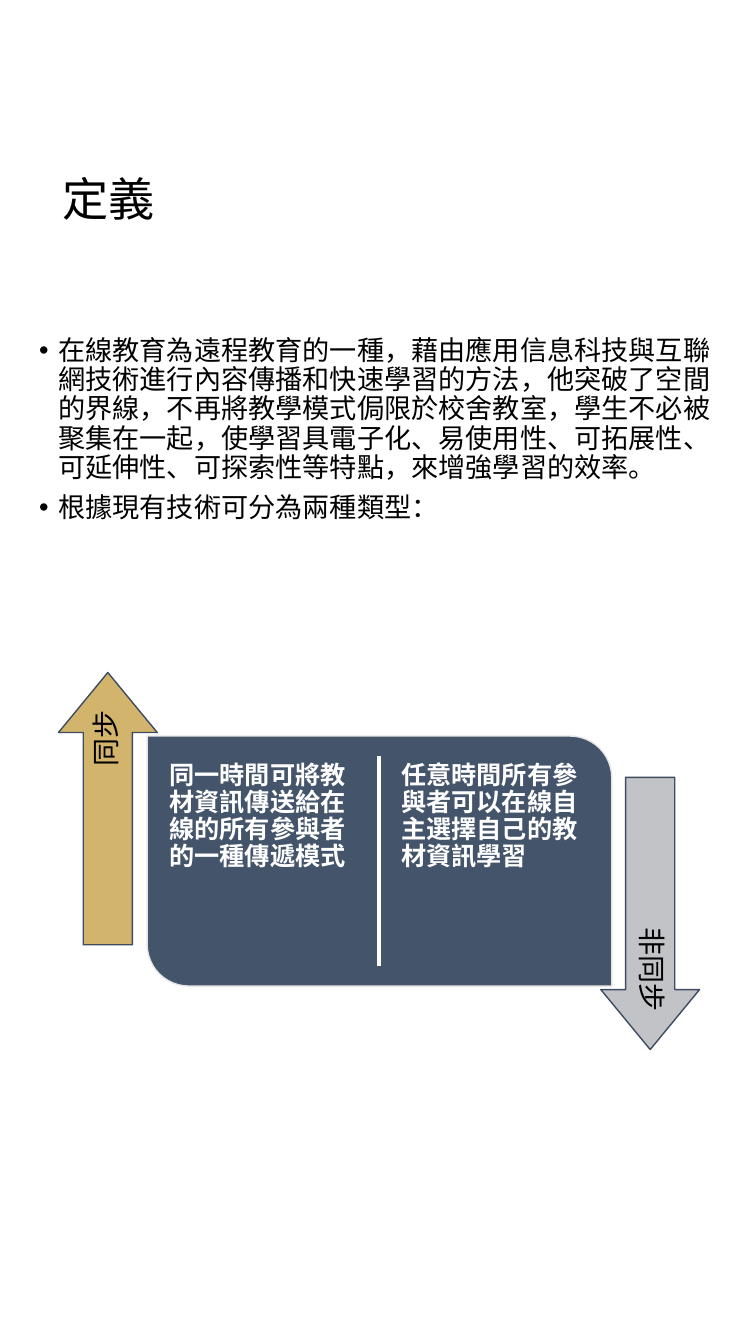
from dataclasses import dataclass

from lxml.etree import SubElement
from pptx import Presentation
from pptx.dml.color import RGBColor
from pptx.enum.shapes import MSO_CONNECTOR, MSO_SHAPE
from pptx.enum.text import MSO_ANCHOR, PP_ALIGN
from pptx.oxml.ns import qn
from pptx.util import Inches, Pt


@dataclass(frozen=True)
class Theme:
    """Colours, type sizes and font of the slide."""
    font: str = "Calibri"
    ink: str = "000000"
    white: str = "FFFFFF"
    panel: str = "44546A"
    panel_edge: str = "E7E6E6"
    arrow_edge: str = "3E4C60"
    gold: str = "D2B46C"
    silver: str = "C1C3C7"
    title_size: float = 33
    body_size: float = 19.4
    mode_size: float = 18
    label_size: float = 20


THEME = Theme()
DEFINITION = [
    "在線教育為遠程教育的一種，藉由應用信息科技與互聯網技術進行內容傳播和快速學習的方法，"
    "他突破了空間的界線，不再將教學模式侷限於校舍教室，學生不必被聚集在一起，使學習具電子化、"
    "易使用性、可拓展性、可延伸性、可探索性等特點，來增強學習的效率。",
    "根據現有技術可分為兩種類型：",
]
MODES = [
    "同一時間可將教材資訊傳送給在線的所有參與者的一種傳遞模式",
    "任意時間所有參與者可以在線自主選擇自己的教材資訊學習",
]


def add_text(slide, box, texts, size, color=THEME.ink, bold=False,
             anchor=MSO_ANCHOR.TOP, align=PP_ALIGN.LEFT, inset=None, before=0):
    """Add a wrapping text box with one paragraph per text."""
    holder = slide.shapes.add_textbox(*map(Inches, box))
    frame = holder.text_frame
    frame.word_wrap = True
    frame.vertical_anchor = anchor
    if inset is not None:
        frame.margin_left = frame.margin_right = Inches(inset)
        frame.margin_top = frame.margin_bottom = Inches(inset)
    for index, text in enumerate(texts):
        paragraph = frame.add_paragraph() if index else frame.paragraphs[0]
        paragraph.alignment = align
        paragraph.line_spacing = 0.9
        paragraph.space_before = Pt(before)
        run = paragraph.add_run()
        run.text = text
        run.font.name = THEME.font
        run.font.size = Pt(size)
        run.font.bold = bold
        run.font.color.rgb = RGBColor.from_string(color)
    return holder


def add_bullets(holder, indent):
    """Give every paragraph of a text box a hanging bullet."""
    for paragraph in holder.text_frame.paragraphs:
        properties = paragraph._p.get_or_add_pPr()
        properties.set("marL", str(Inches(indent)))
        properties.set("indent", str(-Inches(indent)))
        SubElement(properties, qn("a:buFont")).set("typeface", "Arial")
        SubElement(properties, qn("a:buChar")).set("char", "•")


def add_block(slide, kind, box, fill, edge, adjustments):
    """Add a filled, outlined preset shape."""
    block = slide.shapes.add_shape(kind, *map(Inches, box))
    block.shadow.inherit = False
    block.fill.solid()
    block.fill.fore_color.rgb = RGBColor.from_string(fill)
    block.line.color.rgb = RGBColor.from_string(edge)
    block.line.width = Pt(1)
    for index, value in enumerate(adjustments):
        block.adjustments[index] = value
    return block


def add_labelled_arrow(slide, center_x, center_y, rotation, fill, label, label_y):
    """Add a turned arrow with its label turned the same way."""
    width, height = 2.7, 0.98
    arrow = add_block(slide, MSO_SHAPE.RIGHT_ARROW,
                      (center_x - width / 2, center_y - height / 2, width, height),
                      fill, THEME.arrow_edge, (0.498, 0.607))
    width, height = 2.4, 0.49
    caption = add_text(slide, (center_x - width / 2, label_y - height / 2, width, height),
                       [label], THEME.label_size, anchor=MSO_ANCHOR.MIDDLE,
                       align=PP_ALIGN.RIGHT, inset=0.08)
    arrow.rotation = caption.rotation = rotation


def add_divider(slide, x, top, bottom):
    """Add the upright white line between the two modes."""
    divider = slide.shapes.add_connector(MSO_CONNECTOR.STRAIGHT, Inches(x), Inches(top),
                                         Inches(x), Inches(bottom))
    divider.line.color.rgb = RGBColor.from_string(THEME.white)
    divider.line.width = Pt(3)
    SubElement(divider._element.spPr, qn("a:effectLst"))


def main():
    """Build the definition slide and save it."""
    deck = Presentation()
    deck.slide_width, deck.slide_height = Inches(7.5), Inches(13.33)
    slide = deck.slides.add_slide(deck.slide_layouts[6])

    add_text(slide, (0.52, 0.71, 6.47, 2.58), ["定義"], THEME.title_size,
             anchor=MSO_ANCHOR.MIDDLE)
    definition = add_text(slide, (0.29, 3.29, 6.92, 2.68), DEFINITION,
                          THEME.body_size, before=7.5)
    add_bullets(definition, 0.19)

    add_block(slide, MSO_SHAPE.ROUND_2_DIAG_RECTANGLE, (1.46, 7.3, 4.61, 2.48),
              THEME.panel, THEME.panel_edge, (0, 0.167))
    for column, mode in enumerate(MODES):
        add_text(slide, (1.61 + 2.3 * column, 7.49, 2, 2.1), [mode], THEME.mode_size,
                 color=THEME.white, bold=True, inset=0.07)

    add_labelled_arrow(slide, 1.07, 8.02, 270, THEME.gold, "同步", 8.17)
    add_labelled_arrow(slide, 6.45, 9.06, 90, THEME.silver, "非同步", 8.91)
    add_divider(slide, 3.76, 7.5, 9.58)
    deck.save("out.pptx")


if __name__ == "__main__":
    main()
